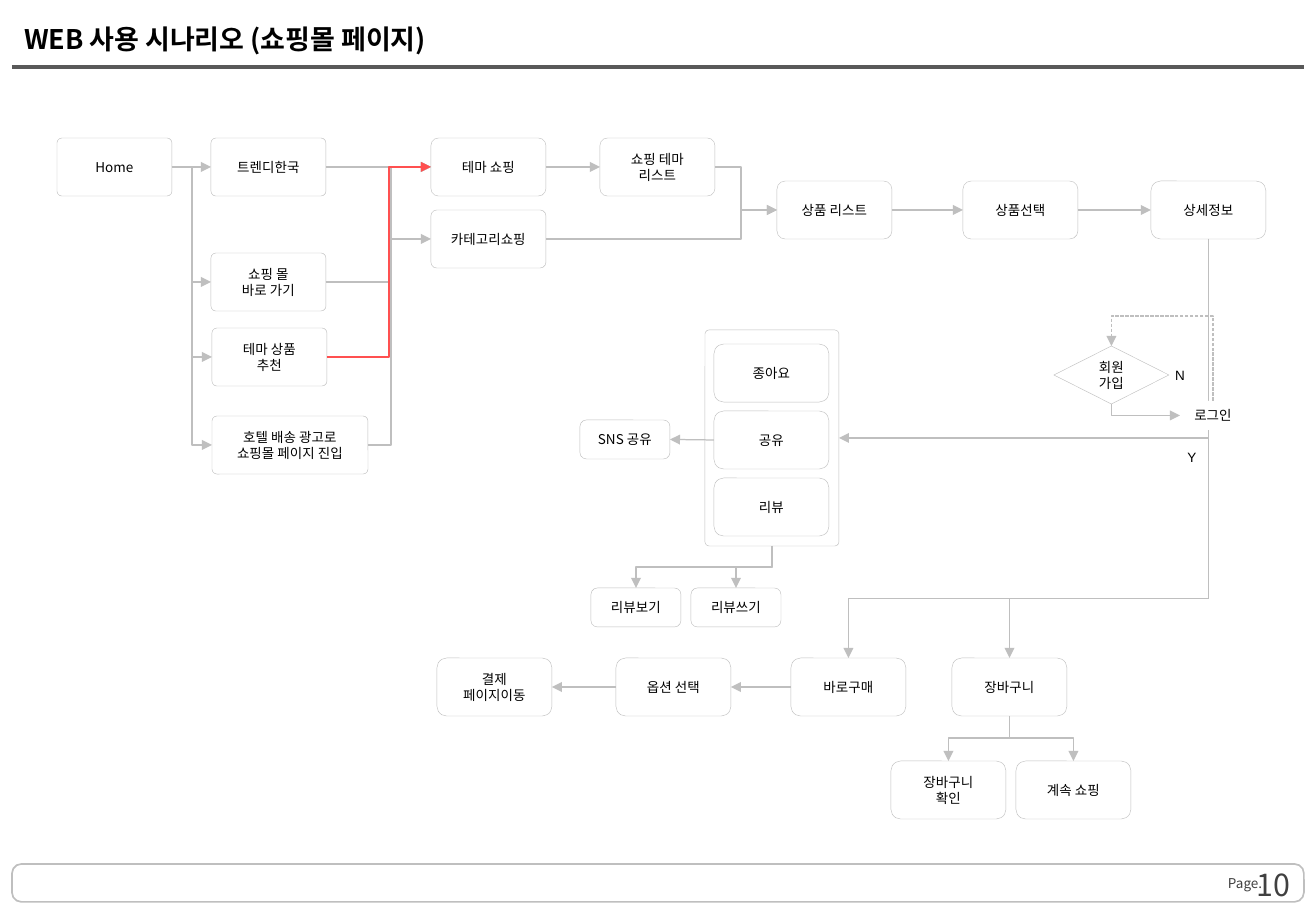
from lxml.etree import SubElement
from pptx import Presentation
from pptx.dml.color import RGBColor
from pptx.enum.dml import MSO_LINE
from pptx.enum.shapes import MSO_CONNECTOR as LINK, MSO_SHAPE as SHAPE
from pptx.enum.text import MSO_ANCHOR as ANCHOR, MSO_AUTO_SIZE, PP_ALIGN as ALIGN
from pptx.oxml.ns import qn
from pptx.util import Pt

PX = 7526
SLIDE_W, SLIDE_H = 1316, 911
CARD_W, CARD_H = 115, 58
SMALL_W, SMALL_H = 90, 39
TOP, LEFT, BOTTOM, RIGHT = range(4)
BLACK = RGBColor(0, 0, 0)
WHITE = RGBColor(255, 255, 255)
GREY = RGBColor(0xBF, 0xBF, 0xBF)
DARK = RGBColor(0x59, 0x59, 0x59)
PAGE_GREY = RGBColor(0x40, 0x40, 0x40)
RED = RGBColor(0xFF, 0x50, 0x50)
KOREAN = "Noto Sans CJK KR"


def px(*lengths):
    """Turn pixel lengths into EMU."""
    return [length * PX for length in lengths]


def write(frame, text, size=8, color=BLACK, font=KOREAN, bold=False,
          align=ALIGN.CENTER, anchor=ANCHOR.MIDDLE, wrap=True):
    """Fill a text frame with one paragraph per line of text."""
    frame.word_wrap = wrap
    frame.auto_size = MSO_AUTO_SIZE.NONE
    frame.vertical_anchor = anchor
    for index, line in enumerate(text.split("\n")):
        paragraph = frame.add_paragraph() if index else frame.paragraphs[0]
        paragraph.alignment = align
        run = paragraph.add_run()
        run.text = line
        run.font.size, run.font.bold, run.font.name = Pt(size), bold, font
        run.font.color.rgb = color
        SubElement(run.font._element, qn("a:ea"), typeface=KOREAN)


def label(slide, box, text, **style):
    """Add a text box."""
    note = slide.shapes.add_textbox(*px(*box))
    write(note.text_frame, text, **style)
    return note


def outline(slide, box, kind=SHAPE.ROUNDED_RECTANGLE, corner=0.168, weight=0.25):
    """Add a white shape with a grey outline."""
    shape = slide.shapes.add_shape(kind, *px(*box))
    shape.shadow.inherit = False
    shape.fill.solid()
    shape.fill.fore_color.rgb = WHITE
    shape.line.color.rgb = GREY
    shape.line.width = Pt(weight)
    if kind == SHAPE.ROUNDED_RECTANGLE:
        shape.adjustments[0] = corner
    return shape


def card(slide, left, top, text, corner=0.168, width=CARD_W, height=CARD_H,
         kind=SHAPE.ROUNDED_RECTANGLE):
    """Add one captioned step of the flow."""
    step = outline(slide, (left, top, width, height), kind, corner)
    write(step.text_frame, text)
    return step


def style_line(connector, color, weight):
    """Colour a connector and drop its shadow."""
    connector.line.color.rgb = color
    connector.line.width = Pt(weight)
    SubElement(connector._element.spPr, qn("a:effectLst"))


def bend(connector, upright, corner, via):
    """Shape an elbow so that it leaves along its first side and turns at via."""
    x0, y0 = connector.begin_x, connector.begin_y
    dx, dy = connector.end_x - x0, connector.end_y - y0
    properties = connector._element.spPr
    if upright:
        width, height = abs(dy), abs(dx)
        connector.left = x0 + (dx - width) // 2
        connector.top = y0 + (dy - height) // 2
        connector.width, connector.height = width, height
        frame = properties.find(qn("a:xfrm"))
        frame.set("rot", "5400000")
        frame.set("flipH", str(int(dy < 0)))
        frame.set("flipV", str(int(dx > 0)))
    geometry = properties.find(qn("a:prstGeom"))
    if corner:
        geometry.set("prst", "bentConnector2")
    else:
        start, length = (y0, dy) if upright else (x0, dx)
        share = round((via * PX - start) / length * 100000)
        SubElement(geometry.find(qn("a:avLst")), qn("a:gd"), name="adj1", fmla=f"val {share}")


def arrow(slide, begin, end, via=None, color=GREY, dashed=False):
    """Join two (shape, side) pairs with a straight or bent arrow."""
    upright = begin[1] in (TOP, BOTTOM)
    corner = upright != (end[1] in (TOP, BOTTOM))
    bent = corner or via is not None
    connector = slide.shapes.add_connector(LINK.ELBOW if bent else LINK.STRAIGHT, 0, 0, 0, 0)
    connector.begin_connect(*begin)
    connector.end_connect(*end)
    if bent:
        bend(connector, upright, corner, via)
    style_line(connector, color, 0.75)
    if dashed:
        connector.line.dash_style = MSO_LINE.SQUARE_DOT
    SubElement(connector._element.spPr.get_or_add_ln(), qn("a:tailEnd"), type="triangle")


def header(slide, left, top, width, height):
    """Place the title and the rule beneath it."""
    bottom = top + height
    rule = slide.shapes.add_connector(LINK.STRAIGHT, *px(left, bottom, left + width, bottom))
    style_line(rule, DARK, 2.25)
    title = slide.shapes.title
    title.left, title.top, title.width, title.height = px(left, top, width, height)
    write(title.text_frame, "WEB 사용 시나리오 (쇼핑몰 페이지)", 16, bold=True, align=ALIGN.LEFT)


def footer(slide, left, top, width, height):
    """Place the page bar with its number."""
    outline(slide, (left, top, width, height), corner=0.25, weight=1)
    caption = label(slide, (left + 1216, top + 11, 56, 16), "Page.",
                    color=PAGE_GREY, align=ALIGN.LEFT).text_frame
    caption.margin_left = caption.margin_right = caption.margin_top = caption.margin_bottom = 0
    label(slide, (left + 983, top + 11, 307, 19), "10", size=18,
          color=PAGE_GREY, align=ALIGN.RIGHT)


def catalog(slide, left, top):
    """Draw the path from themes and categories to the product details."""
    theme = card(slide, left, top, "테마 쇼핑", 0.129)
    category = card(slide, left, top + 72, "카테고리쇼핑", 0.099)
    theme_list = card(slide, left + 169, top, "쇼핑 테마\n리스트", 0.129)
    products = card(slide, left + 346, top + 43, "상품 리스트", 0.142)
    choice = card(slide, left + 532, top + 43, "상품선택", 0.142)
    detail = card(slide, left + 720, top + 43, "상세정보")
    for begin, end in ((theme, theme_list), (products, choice), (choice, detail)):
        arrow(slide, (begin, RIGHT), (end, LEFT))
    for source in (theme_list, category):
        arrow(slide, (source, RIGHT), (products, LEFT), left + 310)
    return theme, category, detail


def entry(slide, left, top, theme, category):
    """Draw the ways from the home page into theme and category shopping."""
    home = card(slide, left, top, "Home", 0.085)
    trendy = card(slide, left + 154, top, "트렌디한국", 0.085)
    mall = card(slide, left + 154, top + 115, "쇼핑 몰\n바로 가기", 0.085)
    pick = card(slide, left + 155, top + 190, "테마 상품\n추천", 0.085)
    hotel = card(slide, left + 155, top + 278, "호텔 배송 광고로\n쇼핑몰 페이지 진입", 0.085, 156)
    arrow(slide, (home, RIGHT), (trendy, LEFT))
    for target in (mall, pick, hotel):
        arrow(slide, (home, RIGHT), (target, LEFT), left + 135)
    arrow(slide, (trendy, RIGHT), (theme, LEFT))
    arrow(slide, (mall, RIGHT), (category, LEFT), left + 333)
    for source, via, color in ((mall, 333, GREY), (hotel, 334, GREY), (pick, 332, RED)):
        arrow(slide, (source, RIGHT), (theme, LEFT), left + via, color)


def reactions(slide, left, top, detail):
    """Draw the panel of likes, sharing and reviews with its follow-up pages."""
    panel = outline(slide, (left + 125, top, 134, 216), corner=0.031)
    like, share, review = [card(slide, left + 134, top + 14 + 67 * row, text)
                           for row, text in enumerate(("종아요", "공유", "리뷰"))]
    social = card(slide, left, top + 90, "SNS 공유", width=SMALL_W, height=SMALL_H)
    arrow(slide, (share, LEFT), (social, RIGHT))
    for column, text in enumerate(("리뷰보기", "리뷰쓰기")):
        page = card(slide, left + 11 + 100 * column, top + 258, text,
                    width=SMALL_W, height=SMALL_H)
        arrow(slide, (panel, BOTTOM), (page, TOP), top + 237)
    arrow(slide, (detail, BOTTOM), (panel, RIGHT))


def purchase(slide, left, top, detail):
    """Draw direct purchase and the shopping cart."""
    payment = card(slide, left, top, "결제 페이지이동")
    option = card(slide, left + 179, top, "옵션 선택")
    buy = card(slide, left + 354, top, "바로구매")
    cart = card(slide, left + 515, top, "장바구니")
    arrow(slide, (buy, LEFT), (option, RIGHT))
    arrow(slide, (option, LEFT), (payment, RIGHT))
    for target in (cart, buy):
        arrow(slide, (detail, BOTTOM), (target, TOP), top - 59)
    for column, text in enumerate(("장바구니\n확인", "계속 쇼핑")):
        page = card(slide, left + 454 + 125 * column, top + 103, text)
        arrow(slide, (cart, BOTTOM), (page, TOP), top + 80)


def membership(slide, left, top):
    """Draw the login check and the sign-up loop."""
    login = slide.shapes.add_shape(SHAPE.RECTANGLE, *px(left + 126, top + 85, 66, 29))
    login.shadow.inherit = False
    login.fill.solid()
    login.fill.fore_color.rgb = WHITE
    login.line.fill.background()
    write(login.text_frame, "로그인", font="Arial", wrap=False)
    signup = card(slide, left, top + 30, "회원가입", kind=SHAPE.FLOWCHART_DECISION)
    arrow(slide, (login, TOP), (signup, TOP), top, dashed=True)
    arrow(slide, (signup, BOTTOM), (login, LEFT))
    for x, y, text in ((109, 45, "N"), (121, 127, "Y")):
        label(slide, (left + x, top + y, 34, 29), text, font="Arial",
              anchor=ANCHOR.TOP, wrap=False)


def main():
    """Build the shopping scenario slide."""
    deck = Presentation()
    deck.slide_width, deck.slide_height = px(SLIDE_W, SLIDE_H)
    slide = deck.slides.add_slide(deck.slide_layouts[5])
    footer(slide, 12, 864, 1292, 38)
    header(slide, 12, 10, 1292, 57)
    theme, category, detail = catalog(slide, 431, 138)
    entry(slide, 57, 138, theme, category)
    reactions(slide, 580, 330, detail)
    purchase(slide, 437, 658, detail)
    membership(slide, 1054, 316)
    deck.save("out.pptx")


if __name__ == "__main__":
    main()
